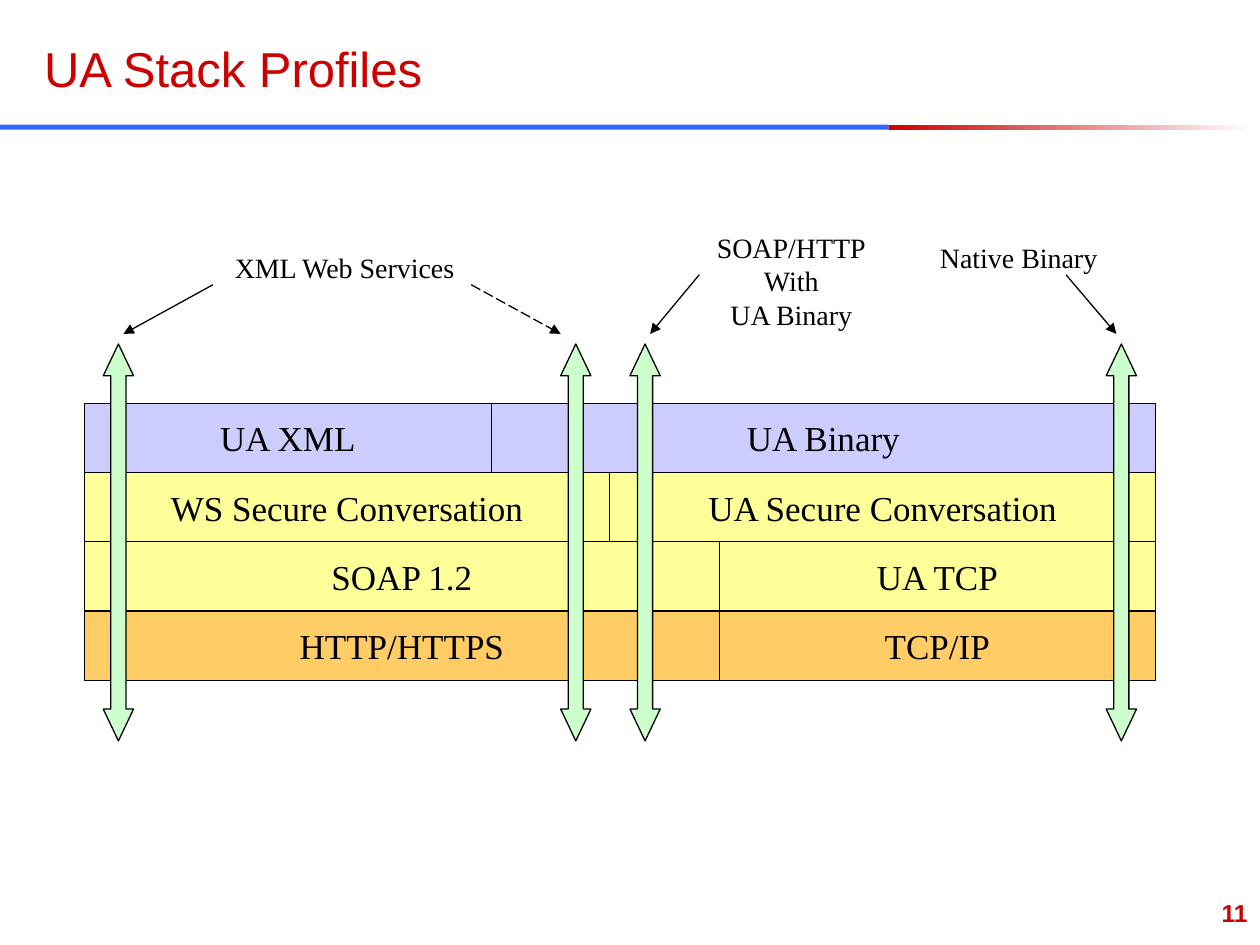
from pptx import Presentation
from pptx.dml.color import RGBColor
from pptx.enum.dml import MSO_LINE
from pptx.enum.shapes import MSO_CONNECTOR, MSO_SHAPE
from pptx.enum.text import MSO_ANCHOR, PP_ALIGN
from pptx.oxml.ns import qn
from pptx.util import Inches, Pt
from lxml import etree

RECT, ARROW = MSO_SHAPE.RECTANGLE, MSO_SHAPE.UP_DOWN_ARROW
LEFT, MID, RIGHT = PP_ALIGN.LEFT, PP_ALIGN.CENTER, PP_ALIGN.RIGHT
TOP, CENTER = MSO_ANCHOR.TOP, MSO_ANCHOR.MIDDLE
DASH = MSO_LINE.LONG_DASH

WIDE, HIGH = 10, 7.5
RED, BLUE, BLACK, WHITE, GREEN = "CC0000", "3366FF", "000000", "FFFFFF", "CCFFCC"
SERIF = {"name": "Times New Roman", "bold": False}
SANS = {"name": "Arial", "bold": False}

# Stack rows: fill, split between the two cells, left and right label
STACK = [
    ("CCCCFF", 3.9, "UA XML", "UA Binary"),
    ("FFFF99", 4.84, "WS Secure Conversation", "UA Secure Conversation"),
    ("FFFF99", 5.71, "SOAP 1.2", "UA TCP"),
    ("FFCC66", 5.71, "HTTP/HTTPS", "TCP/IP"),
]
START, END, FIRST, ROW = 0.67, 9.17, 3.2, 0.55

# Profile labels: text, left, top, width, height
LABELS = [
    ("XML Web Services", 1.75, 1.94, 1.97, 0.37),
    ("SOAP/HTTP\nWith\nUA Binary", 5.59, 1.78, 1.38, 0.9),
    ("Native Binary", 7.36, 1.86, 1.45, 0.37),
]
# Pointers from a label to a path: start x, start y, end x, dash
POINTERS = [
    (1.69, 2.26, 0.98, None),
    (3.74, 2.26, 4.45, DASH),
    (5.55, 2.18, 5.16, None),
    (8.46, 2.18, 8.86, None),
]
TIP = 2.65
PATHS = [0.82, 4.45, 5, 8.78]
PATH_TOP, PATH_WIDE, PATH_HIGH = 2.73, 0.24, 3.15
# Shaft width and head length, in 1/100000 of the arrow's width
PATH_FORM = {"adj1": 50000, "adj2": 105000}
RULE_TOP, RULE_HIGH, RULE_SPLIT = 0.99, 0.04, 7.05


def color(code):
    return RGBColor.from_string(code)


def write(shape, text, size, face, tint=BLACK, align=MID, anchor=TOP, wrap=False):
    frame = shape.text_frame
    frame.text = text
    frame.word_wrap, frame.vertical_anchor = wrap, anchor
    for para in frame.paragraphs:
        para.alignment = align
        para.font.color.rgb = color(tint)
        for key, value in {**face, "size": Pt(size)}.items():
            setattr(para.font, key, value)


def box(slide, kind, place, fill, edge=True):
    shape = slide.shapes.add_shape(kind, *map(Inches, place))
    shape.shadow.inherit = False
    shape.fill.solid()
    shape.fill.fore_color.rgb = color(fill)
    if edge:
        shape.line.color.rgb = color(BLACK)
        shape.line.width = Pt(0.75)
    else:
        shape.line.fill.background()
    return shape


def label(slide, text, place, *style, **more):
    write(slide.shapes.add_textbox(*map(Inches, place)), text, *style, **more)


def point(slide, x, y, end, dash):
    wire = slide.shapes.add_connector(
        MSO_CONNECTOR.STRAIGHT, *map(Inches, (x, y, end, TIP)))
    wire.line.color.rgb = color(BLACK)
    wire.line.width = Pt(0.75)
    if dash:
        wire.line.dash_style = dash
    props = wire.line._get_or_add_ln()
    etree.SubElement(props, qn("a:tailEnd"), type="triangle")
    etree.SubElement(props.getparent(), qn("a:effectLst"))


def trace(slide, left):
    """Draw one double-headed path through the stack."""
    arrow = box(slide, ARROW, (left, PATH_TOP, PATH_WIDE, PATH_HIGH), GREEN)
    form = next(arrow.element.iter(qn("a:avLst")))
    for guide in list(form):
        form.remove(guide)
    for name, value in PATH_FORM.items():
        etree.SubElement(form, qn("a:gd"), name=name, fmla=f"val {value}")


def rules(slide):
    fade = box(slide, RECT, (RULE_SPLIT, RULE_TOP, 2.88, RULE_HIGH), RED, edge=False)
    fade.fill.gradient()
    fade.fill.gradient_angle = 0
    for stop, tint in zip(fade.fill.gradient_stops, (RED, WHITE)):
        stop.color.rgb = color(tint)
    box(slide, RECT, (0, RULE_TOP, RULE_SPLIT, RULE_HIGH), BLUE, edge=False)


def stack(slide):
    for row, (fill, split, *names) in enumerate(STACK):
        spans = (START, split), (split, END)
        for name, (left, right) in zip(names, spans):
            place = left, FIRST + row * ROW, right - left, ROW
            write(box(slide, RECT, place, fill), name, 20, SERIF, anchor=CENTER)


def main():
    deck = Presentation()
    deck.slide_width, deck.slide_height = Inches(WIDE), Inches(HIGH)
    slide = deck.slides.add_slide(deck.slide_layouts[5])
    rules(slide)
    title = slide.shapes.title
    place = {"left": 0.25, "top": 0.25, "width": 6.83, "height": 0.58}
    for key, value in place.items():
        setattr(title, key, Inches(value))
    write(title, "UA Stack Profiles", 28, SANS, RED, LEFT, CENTER, True)
    stack(slide)
    for text, *place in LABELS:
        label(slide, text, place, 16, SERIF)
    for pointer in POINTERS:
        point(slide, *pointer)
    for left in PATHS:
        trace(slide, left)
    label(slide, "11", (7.92, 7.08, 2.08, 0.42), 14, {**SANS, "bold": True},
          RED, RIGHT, wrap=True)
    deck.save("out.pptx")


if __name__ == "__main__":
    main()
